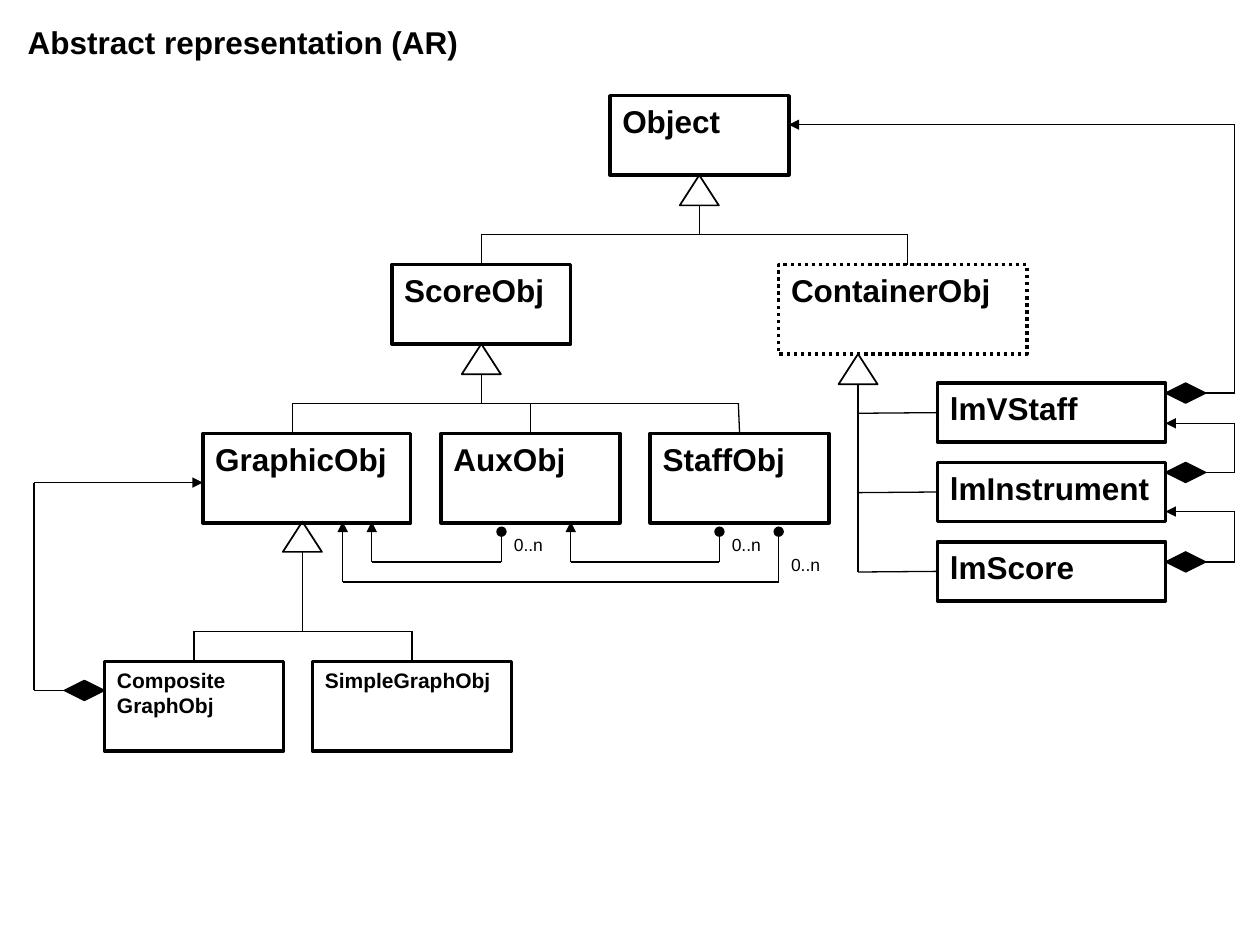
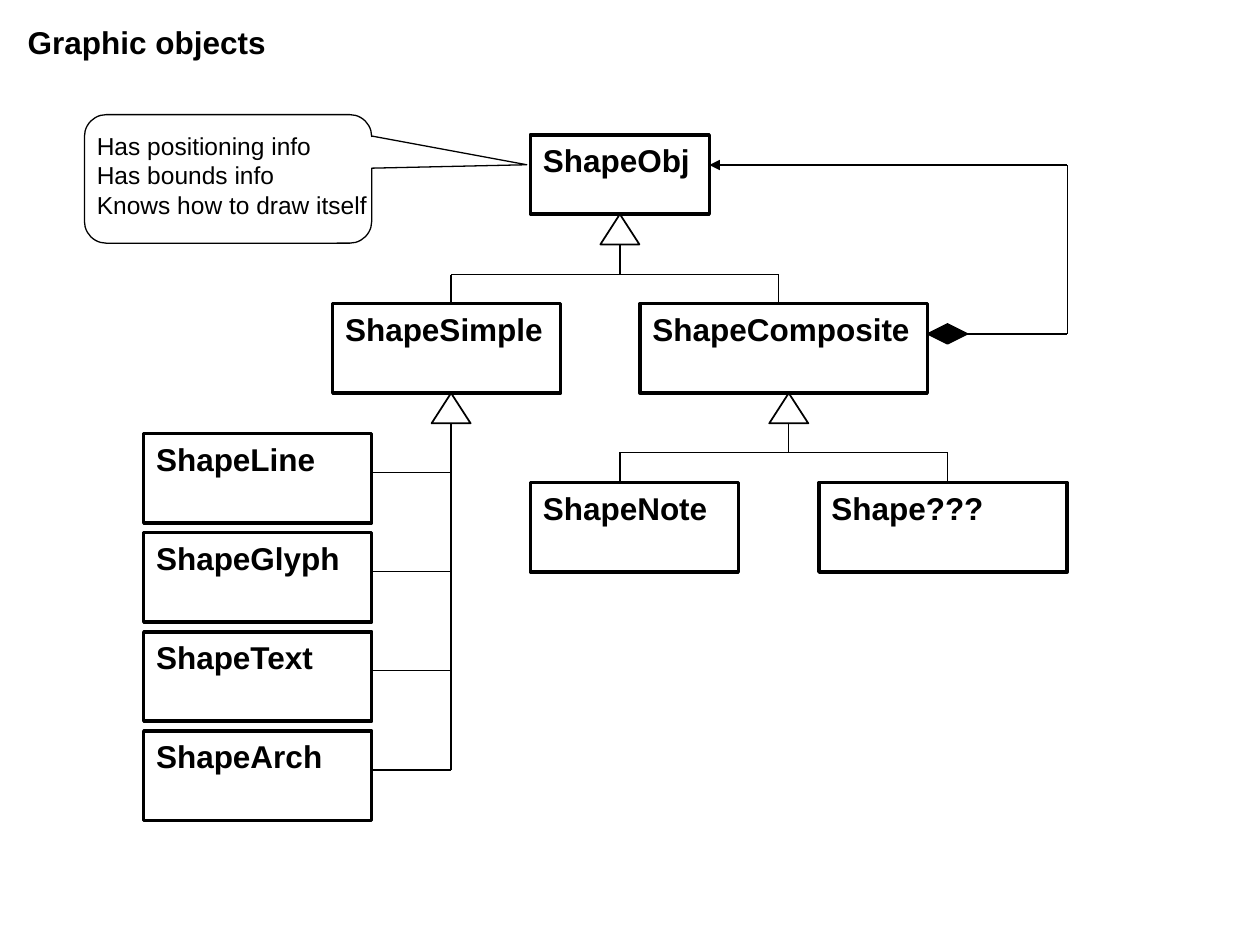
from itertools import pairwise

from pptx import Presentation
from pptx.dml.color import RGBColor
from pptx.enum import dml, shapes, text
from pptx.oxml.ns import qn
from pptx.util import Inches, Pt

COLORS = {"ink": "000000", "paper": "FFFFFF"}
FONT = "Arial"
INK = RGBColor.from_string(COLORS["ink"])
TITLE_ONLY = 5

# Shared measures, in inches
TRIANGLE_W, TRIANGLE_H = 0.31, 0.24
DIAMOND_W, DIAMOND_H = 0.32, 0.16
JOIN_REACH = 0.02


# Text
def write(box, lines, size, bold=False, wrap=True):
    frame = box.text_frame
    layout = {
        "word_wrap": wrap,
        "auto_size": text.MSO_AUTO_SIZE.NONE,
        "vertical_anchor": text.MSO_ANCHOR.TOP,
        "margin_left": Inches(0.1),
        "margin_right": Inches(0.1),
        "margin_top": Inches(0.05),
        "margin_bottom": Inches(0.05),
    }
    for name, value in layout.items():
        setattr(frame, name, value)
    for index, line in enumerate(lines):
        para = frame.add_paragraph() if index else frame.paragraphs[0]
        para.alignment = text.PP_ALIGN.LEFT
        span = para.add_run()
        span.text = line
        for name, value in {"name": FONT, "size": Pt(size), "bold": bold}.items():
            setattr(span.font, name, value)
        span.font.color.rgb = INK


def add_text(page, lines, left, top, width, height, size, wrap=True):
    area = [Inches(length) for length in (left, top, width, height)]
    write(page.shapes.add_textbox(*area), lines, size, wrap=wrap)


def add_page(deck, title, width):
    page = deck.slides.add_slide(deck.slide_layouts[TITLE_ONLY])
    page.background.fill.solid()
    page.background.fill.fore_color.rgb = RGBColor.from_string(COLORS["paper"])
    box = page.shapes.title
    place = {"left": 0.12, "top": 0.13, "width": width, "height": 0.4}
    for name, value in place.items():
        setattr(box, name, Inches(value))
    write(box, [title], 18, bold=True)
    return page


# Outlined shapes
def add_outline(page, kind, left, top, width, height, weight, filled=False):
    area = [Inches(length) for length in (left, top, width, height)]
    shape = page.shapes.add_shape(kind, *area)
    shape.shadow.inherit = False
    if filled:
        shape.fill.solid()
        shape.fill.fore_color.rgb = INK
    else:
        shape.fill.background()
    shape.line.color.rgb = INK
    shape.line.width = Pt(weight)
    return shape


def add_class(page, name, left, top, width, height=0.71, size=18):
    box = add_outline(page, shapes.MSO_SHAPE.RECTANGLE, left, top, width, height, 2)
    write(box, name.split("\n"), size, bold=True, wrap=False)
    return box


def add_triangle(page, x, top):
    add_outline(page, shapes.MSO_SHAPE.ISOSCELES_TRIANGLE, x - TRIANGLE_W / 2, top,
                TRIANGLE_W, TRIANGLE_H, 1)


# Lines
def find_side(page, x, y):
    """Give the class box and side whose middle lies at this point, if any."""
    for box in page.shapes:
        if (box.shape_type != shapes.MSO_SHAPE_TYPE.AUTO_SHAPE
                or box.auto_shape_type != shapes.MSO_SHAPE.RECTANGLE):
            continue
        left, top, width, height = (
            length.inches for length in (box.left, box.top, box.width, box.height))
        middles = [(left + width / 2, top), (left, top + height / 2),
                   (left + width / 2, top + height), (left + width, top + height / 2)]
        for side, (side_x, side_y) in enumerate(middles):
            if max(abs(side_x - x), abs(side_y - y)) < JOIN_REACH:
                return box, side
    return None


def add_line(page, start, end, head=None, tail=None):
    points = [Inches(length) for length in (*start, *end)]
    line = page.shapes.add_connector(shapes.MSO_CONNECTOR.STRAIGHT, *points)
    line.line.color.rgb = INK
    line.line.width = Pt(0.75)
    properties = line._element.spPr
    outline = properties.find(qn("a:ln"))
    for tag, mark in (("a:headEnd", head), ("a:tailEnd", tail)):
        if mark:
            outline.append(outline.makeelement(qn(tag), {"type": mark}))
    properties.append(properties.makeelement(qn("a:effectLst"), {}))
    for point, connect in ((start, line.begin_connect), (end, line.end_connect)):
        joint = find_side(page, *point)
        if joint:
            connect(*joint)


def add_route(page, points, head=None):
    """Draw right-angled segments that end in an arrow."""
    segments = list(pairwise(points))
    for index, (start, end) in enumerate(segments):
        add_line(page, start, end,
                 head=head if index == 0 else None,
                 tail="triangle" if index == len(segments) - 1 else None)


# Class relations
def add_tree(page, x, top, bar, drops, bottom):
    """Inheritance with the children in a row below the parent."""
    add_triangle(page, x, top)
    add_line(page, (x, top + TRIANGLE_H), (x, bar))
    add_line(page, (drops[0], bar), (drops[-1], bar))
    for drop in drops:
        add_line(page, (drop, bar), (drop, bottom))


def add_side_tree(page, x, top, edge, levels):
    """Inheritance with the children stacked beside a trunk."""
    add_triangle(page, x, top)
    add_line(page, (x, top + TRIANGLE_H), (x, levels[-1]))
    for level in levels:
        add_line(page, (x, level), (edge, level))


def add_aggregation(page, owner, turn, target):
    """Diamond at the owner, then out to the turn and back to the target."""
    x, y = owner
    left = x if turn > x else x - DIAMOND_W
    add_outline(page, shapes.MSO_SHAPE.DIAMOND, left, y - DIAMOND_H / 2,
                DIAMOND_W, DIAMOND_H, 0.75, filled=True)
    add_route(page, [owner, (turn, y), (turn, target[1]), target])


def add_attachment(page, x, target, level, label_top):
    """A many-valued reference between two boxes of the same row."""
    add_route(page, [(x, 4.22), (x, level), (target, level), (target, 4.14)], head="oval")
    add_text(page, ["0..n"], x, label_top, 0.43, 0.27, 10, wrap=False)


# Slides
def build_abstract_representation(deck):
    page = add_page(deck, "Abstract representation (AR)", 3.62)

    add_class(page, "Object", 4.84, 0.76, 1.42, 0.63)
    add_class(page, "ScoreObj", 3.11, 2.1, 1.42, 0.63)
    container = add_class(page, "ContainerObj", 6.18, 2.1, 1.97)
    container.line.dash_style = dml.MSO_LINE.ROUND_DOT
    for name, left, width in (("GraphicObj", 1.61, 1.65), ("AuxObj", 3.5, 1.42),
                              ("StaffObj", 5.16, 1.42)):
        add_class(page, name, left, 3.44, width)
    for index, name in enumerate(("lmVStaff", "lmInstrument", "lmScore")):
        add_class(page, name, 7.44, 3.04 + 0.63 * index, 1.81, 0.47)
    add_class(page, "Composite\nGraphObj", 0.83, 5.25, 1.42, size=12)
    add_class(page, "SimpleGraphObj", 2.48, 5.25, 1.58, size=12)

    add_tree(page, 5.55, 1.39, 1.86, [3.82, 7.2], 2.1)
    add_tree(page, 3.82, 2.73, 3.2, [2.32, 4.21, 5.86], 3.44)
    add_tree(page, 2.4, 4.14, 5.01, [1.54, 3.27], 5.25)
    add_side_tree(page, 6.81, 2.81, 7.44, [3.28, 3.91, 4.54])

    for level, target in ((3.12, (6.26, 0.99)), (3.75, (9.25, 3.36)),
                          (4.46, (9.25, 4.06))):
        add_aggregation(page, (9.25, level), 9.8, target)
    add_aggregation(page, (0.83, 5.48), 0.27, (1.61, 3.83))

    add_attachment(page, 3.98, 2.95, 4.46, 4.19)
    add_attachment(page, 5.71, 4.53, 4.46, 4.19)
    add_attachment(page, 6.18, 2.72, 4.62, 4.35)


def build_graphic_objects(deck):
    page = add_page(deck, "Graphic objects", 3.02)

    add_class(page, "ShapeObj", 4.21, 1.07, 1.42, 0.63)
    add_class(page, "ShapeSimple", 2.64, 2.41, 1.81)
    add_class(page, "ShapeComposite", 5.08, 2.41, 2.28)
    add_class(page, "ShapeNote", 4.21, 3.83, 1.65)
    add_class(page, "Shape???", 6.5, 3.83, 1.97)
    step = 0.787
    for index, name in enumerate(("ShapeLine", "ShapeGlyph", "ShapeText", "ShapeArch")):
        add_class(page, name, 1.14, 3.44 + step * index, 1.81)

    add_tree(page, 4.92, 1.7, 2.18, [3.58, 6.18], 2.41)
    add_tree(page, 6.26, 3.12, 3.59, [4.92, 7.52], 3.83)
    add_side_tree(page, 3.58, 3.12, 2.95, [3.75 + step * index for index in range(4)])
    add_aggregation(page, (7.36, 2.65), 8.47, (5.63, 1.31))

    # Callout on the base class
    callout = add_outline(page, shapes.MSO_SHAPE.ROUNDED_RECTANGULAR_CALLOUT,
                          0.67, 0.91, 2.28, 1.02, 0.75)
    for index, value in enumerate((1.04, -0.11, 0.17)):
        callout.adjustments[index] = value
    add_text(page, ["Has positioning info", "Has bounds info", "Knows how to draw itself"],
             0.67, 0.99, 2.44, 0.8, 14)


def main():
    deck = Presentation()
    deck.slide_width, deck.slide_height = Inches(10), Inches(7.5)
    build_abstract_representation(deck)
    build_graphic_objects(deck)
    deck.save("out.pptx")


if __name__ == "__main__":
    main()
